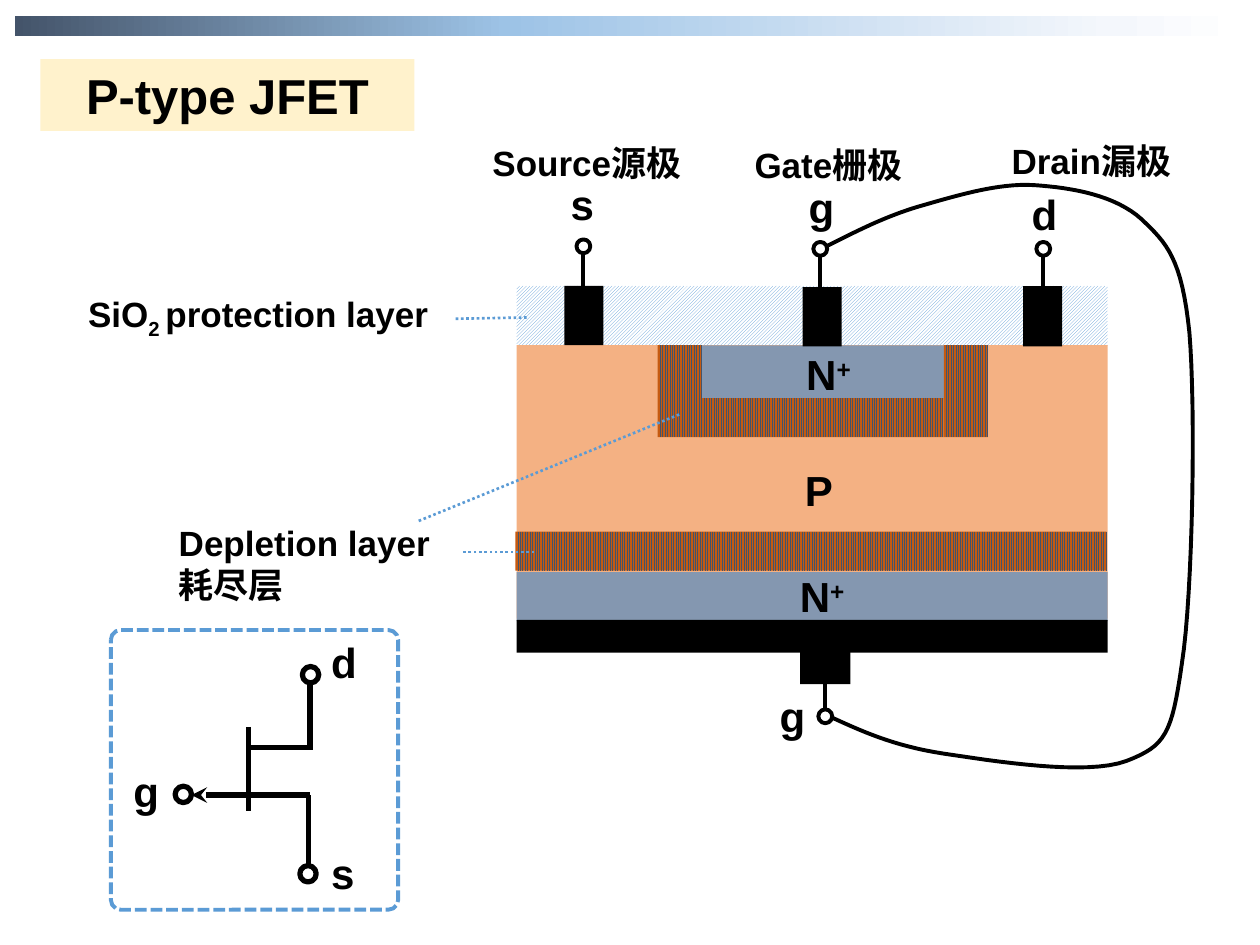
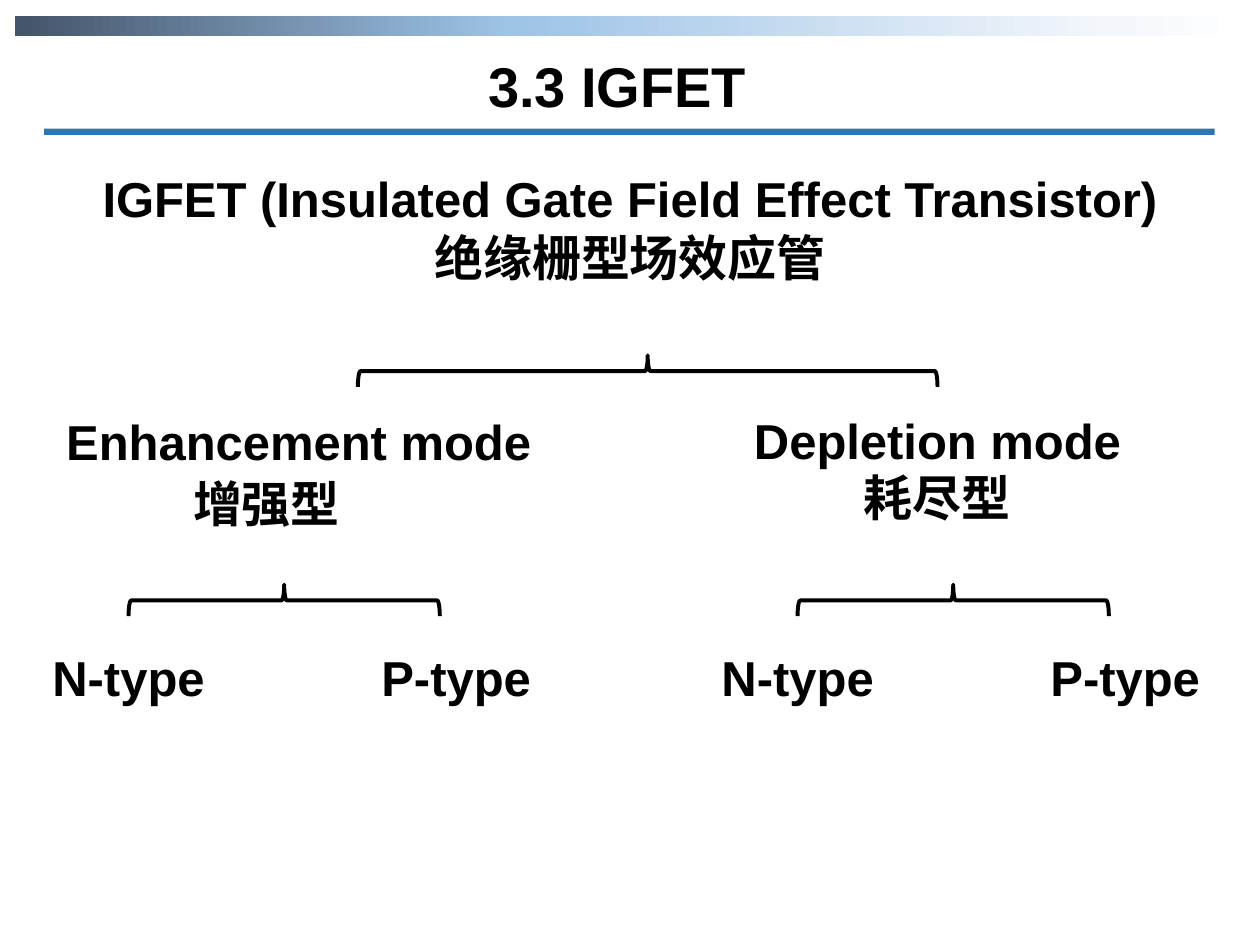
from lxml import etree
from pptx import Presentation
from pptx.dml.color import RGBColor
from pptx.enum.dml import MSO_LINE, MSO_PATTERN
from pptx.enum.shapes import MSO_CONNECTOR, MSO_SHAPE
from pptx.enum.text import MSO_AUTO_SIZE, PP_ALIGN
from pptx.oxml.ns import qn
from pptx.util import Emu, Pt

RECT, ROUND, OVAL, BRACE = (MSO_SHAPE.RECTANGLE, MSO_SHAPE.ROUNDED_RECTANGLE,
                            MSO_SHAPE.OVAL, MSO_SHAPE.LEFT_BRACE)
LEFT, CENTER = PP_ALIGN.LEFT, PP_ALIGN.CENTER
DOTS, DASHES = MSO_LINE.ROUND_DOT, MSO_LINE.SQUARE_DOT
STRAIGHT = MSO_CONNECTOR.STRAIGHT
FIT = MSO_AUTO_SIZE.SHAPE_TO_FIT_TEXT
RIGHT_SIDE = 3

PX = 9144
BLACK, WHITE, BLUE = "000000", "FFFFFF", "5B9BD5"
P_SILICON, N_SILICON = "F4B183", "8497B0"
OXIDE = (MSO_PATTERN.LIGHT_UPWARD_DIAGONAL, BLUE, WHITE)
DEPLETION = (MSO_PATTERN.LIGHT_VERTICAL, "44546A", "C55A11")
BAND = [(0, "44546A"), (40, "9DC3E6"), (89, "F4F7FC"), (100, WHITE)]
LATIN, CJK = "Arial", "Noto Sans CJK SC"


def px(*values):
    """Turn px lengths into EMU."""
    return [Emu(round(v * PX)) for v in values]


def rgb(value):
    """Turn a hex string into a colour."""
    return RGBColor.from_string(value)


def write(tf, *paragraphs, size=24, align=LEFT):
    """Fill a text frame; a paragraph is a string or a list of (text, baseline)."""
    tf.word_wrap = True
    tf.auto_size = FIT
    for i, runs in enumerate(paragraphs):
        p = tf.paragraphs[0] if i == 0 else tf.add_paragraph()
        p.alignment = align
        for text, baseline in [(runs, 0)] if isinstance(runs, str) else runs:
            r = p.add_run()
            r.text = text
            r.font.name, r.font.size, r.font.bold = LATIN, Pt(size), True
            r.font.color.rgb = rgb(BLACK)
            rpr = r._r.get_or_add_rPr()
            etree.SubElement(rpr, qn("a:ea"), typeface=CJK)
            if baseline:
                rpr.set("baseline", str(baseline * 1000))


class Deck:
    """Hold the style and the current slide."""

    def __init__(self):
        """Start an empty 10 by 7.5 inch deck."""
        self.prs = Presentation()
        self.prs.slide_width, self.prs.slide_height = px(1000, 750)

    def slide(self):
        """Add a blank slide with the gradient band."""
        self.s = self.prs.slides.add_slide(self.prs.slide_layouts[6])
        band = self.shape(12, 13, 976, 16)
        band.fill.gradient()
        band.fill.gradient_angle = 0
        stops = band.element.spPr.find(".//" + qn("a:gsLst"))
        for stop in list(stops):
            stops.remove(stop)
        for position, color in BAND:
            gs = etree.SubElement(stops, qn("a:gs"), pos=str(position * 1000))
            etree.SubElement(gs, qn("a:srgbClr"), val=color)

    def style_line(self, line, color, width, dash=None):
        """Set colour, width and dash of a line."""
        line.color.rgb = rgb(color)
        line.width = Pt(width)
        if dash:
            line.dash_style = dash

    def shape(self, x, y, w, h, fill=None, kind=RECT, line=None, width=2.25, dash=None):
        """Add a preset shape with a plain, patterned or empty fill."""
        sp = self.s.shapes.add_shape(kind, *px(x, y, w, h))
        sp.shadow.inherit = False
        if fill is None:
            sp.fill.background()
        elif isinstance(fill, str):
            sp.fill.solid()
            sp.fill.fore_color.rgb = rgb(fill)
        else:
            pattern, fore, back = fill
            sp.fill.patterned()
            sp.fill.pattern = pattern
            sp.fill.fore_color.rgb, sp.fill.back_color.rgb = rgb(fore), rgb(back)
        if line:
            self.style_line(sp.line, line, width, dash)
        else:
            sp.line.fill.background()
        return sp

    def text(self, x, y, w, h, *paragraphs, **style):
        """Add a text box."""
        sp = self.s.shapes.add_textbox(*px(x, y, w, h))
        write(sp.text_frame, *paragraphs, **style)
        return sp

    def line(self, x1, y1, x2, y2, color=BLACK, width=3, dash=None, arrow=False):
        """Add a straight connector."""
        c = self.s.shapes.add_connector(STRAIGHT, *px(x1, y1, x2, y2))
        self.style_line(c.line, color, width, dash)
        sppr = c.element.spPr
        if arrow:
            etree.SubElement(sppr.find(qn("a:ln")), qn("a:tailEnd"), type="stealth")
        etree.SubElement(sppr, qn("a:effectLst"))
        return c

    def pointer(self, *ends):
        """Add a dotted label line."""
        return self.line(*ends, color=BLUE, width=1.5, dash=DOTS)

    def curve(self, start, segments, steps=16):
        """Add an open outline through cubic segments."""
        points, a = [], start
        for b, c, d in segments:
            for t in (i / steps for i in range(1, steps + 1)):
                u = 1 - t
                weights = (u ** 3, 3 * u * u * t, 3 * u * t * t, t ** 3)
                points.append(px(*(sum(k * v for k, v in zip(weights, axis))
                                   for axis in zip(a, b, c, d))))
            a = d
        builder = self.s.shapes.build_freeform(*px(*start), scale=1.0)
        builder.add_line_segments(points, close=False)
        sp = builder.convert_to_shape()
        sp.shadow.inherit = False
        sp.fill.background()
        self.style_line(sp.line, BLACK, 2.25)

    def brace(self, x, y, w, h=25):
        """Add a brace that opens downwards."""
        sp = self.shape(x + (w - h) / 2, y + (h - w) / 2, h, w, kind=BRACE, line=BLACK)
        sp.rotation = 90


def draw_jfet(deck):
    """Draw the device section."""
    deck.curve((657, 195), [
        ((679, 184), (702, 172), (729, 164)),
        ((757, 156), (792, 145), (821, 147)),
        ((851, 149), (885, 155), (906, 174)),
        ((926, 193), (938, 205), (944, 264)),
        ((949, 322), (947, 470), (938, 527)),
        ((930, 583), (925, 592), (894, 604)),
        ((862, 616), (788, 604), (748, 598)),
        ((709, 592), (683, 580), (657, 568))])

    left, width = 410, 469
    for y, h, fill in [(227, 48, OXIDE), (274, 217, P_SILICON),
                       (454, 39, N_SILICON), (492, 26, BLACK)]:
        deck.shape(left, y, width, h, fill)
    deck.shape(635, 514, 40, 29, BLACK)
    deck.shape(557, 274, 193, 42, N_SILICON)
    n_plus = [("N", 0), ("+", 30)]
    deck.text(619, 448, 67, 54, n_plus, align=CENTER)
    deck.text(618, 272, 79, 54, n_plus, align=CENTER)
    deck.text(608, 364, 84, 50, "P", align=CENTER)

    for x, y, h in [(448, 227, 47), (637, 228, 47), (812, 227, 48)]:
        deck.shape(x, y, 31, h, BLACK)
    for name, x, lead_y, ring_y, label_x, label_y in [
            ("s", 463, 199, 190, 443, 137), ("g", 651, 201, 192, 632, 139),
            ("d", 828, 201, 192, 809, 145), ("g", 655, 529, 563, 609, 543)]:
        deck.line(x, lead_y + 37, x, lead_y, width=2.25)
        deck.shape(x - 5.5, ring_y, 11, 11, WHITE, OVAL, BLACK)
        deck.text(label_x, label_y, 50, 50, name)

    for box in [(555, 316, 194, 31), (522, 274, 35, 73),
                (749, 274, 35, 73), (409, 422, width, 31)]:
        deck.shape(*box, DEPLETION)


def draw_symbol(deck):
    """Draw the circuit symbol in its dashed frame."""
    for ends in [(197, 577, 197, 644), (197, 593, 246, 593), (246, 595, 246, 540),
                 (197, 631, 246, 631), (245, 631, 245, 689)]:
        deck.line(*ends)
    deck.line(197, 631, 152, 631, arrow=True)
    for name, x, y, label_x, label_y in [
            ("d", 240, 529, 253, 500), ("g", 139, 624, 96, 603), ("s", 238, 687, 253, 668)]:
        deck.shape(x, y, 13, 13, kind=OVAL, line=BLACK, width=3)
        deck.text(label_x, label_y, 50, 50, name)
    frame = deck.shape(88, 500, 228, 222, kind=ROUND, line=BLUE, dash=DASHES)
    frame.adjustments[0] = 0.035


def jfet_slide(deck):
    """Build the P-type JFET slide."""
    deck.slide()
    title = deck.shape(32, 47, 297, 57, "FFF2CC")
    write(title.text_frame, "P-type JFET", size=28, align=CENTER)
    for x, y, w, label in [(589, 109, 144, "Gate栅极"), (793, 106, 172, "Drain漏极"),
                           (381, 107, 174, "Source源极")]:
        deck.text(x, y, w, 44, label, size=20)
    draw_jfet(deck)

    oxide = deck.text(60, 227, 301, 52,
                      [("SiO", 0), ("2 ", -25), ("protection layer", 0)], size=20)
    deck.pointer(418, 252, 361, 252).end_connect(oxide, RIGHT_SIDE)
    deck.text(132, 409, 229, 77, "Depletion layer耗尽层", size=20)
    deck.pointer(424, 438, 366, 438)
    deck.pointer(539, 329, 331, 414)
    draw_symbol(deck)


def igfet_slide(deck):
    """Build the IGFET family tree."""
    style = {"size": 28, "align": CENTER}
    deck.slide()
    deck.text(61, 36, 858, 64, "3.3 IGFET", size=32, align=CENTER)
    deck.shape(35, 102, 929, 5, "2E75B6")
    deck.text(50, 129, 900, 104, "IGFET (Insulated Gate Field Effect Transistor)",
              "绝缘栅型场效应管", **style)
    deck.brace(284, 282, 460)
    for mode, x, y, chinese, cx, cy, branch in [
            ("Enhancement mode", 31, 322, "增强型", 120, 371, 6),
            ("Depletion mode", 538, 321, "耗尽型", 652, 366, 537)]:
        deck.text(x, y, 412, 57, mode, **style)
        deck.text(cx, cy, 183, 57, chinese, **style)
        deck.brace(branch + 96, 464, 247)
        for i, channel in enumerate(("N-type", "P-type")):
            deck.text(branch + 260 * i, 509, 192, 57, channel, **style)


def main():
    """Build and save the deck."""
    deck = Deck()
    jfet_slide(deck)
    igfet_slide(deck)
    deck.prs.save("out.pptx")


if __name__ == "__main__":
    main()
